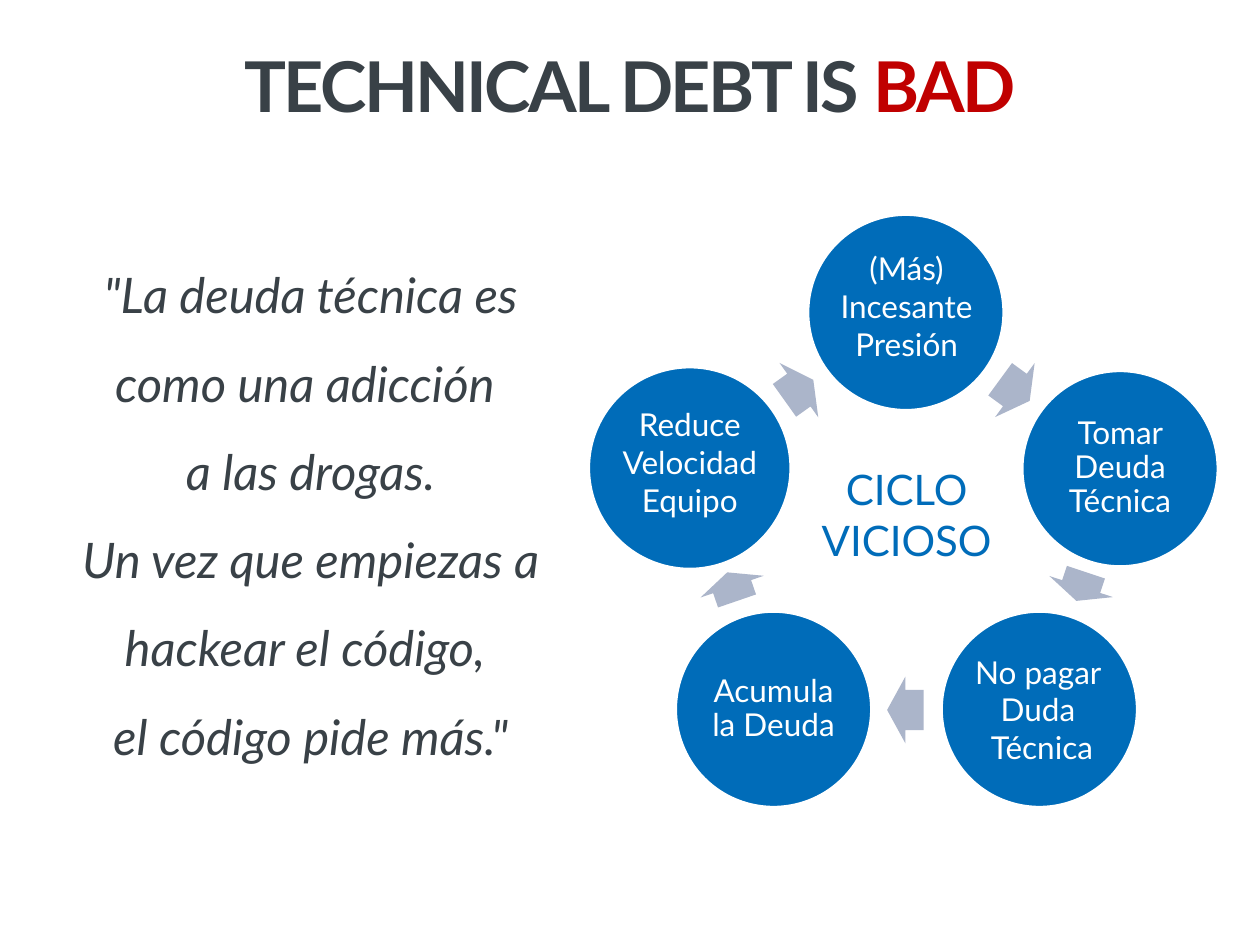
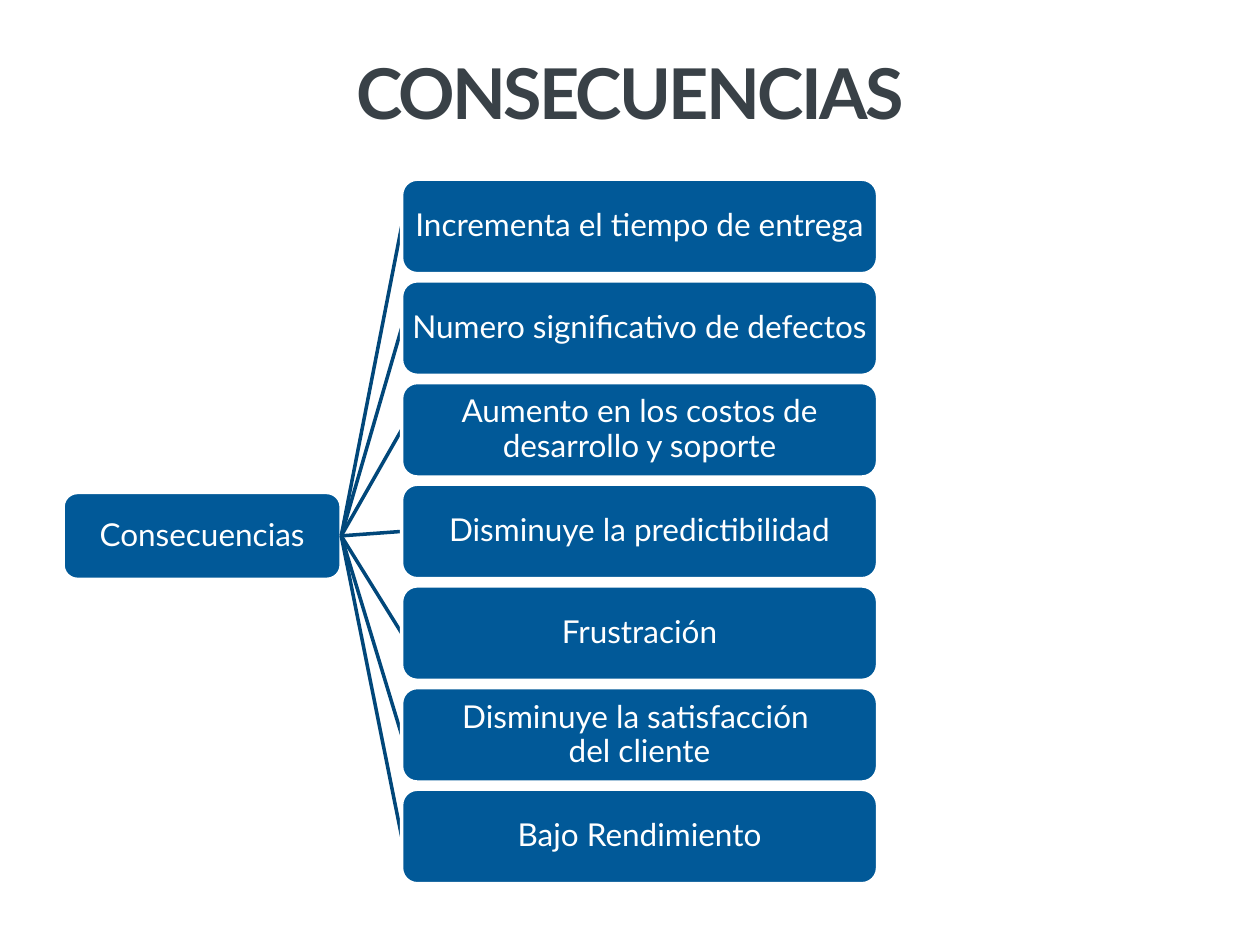
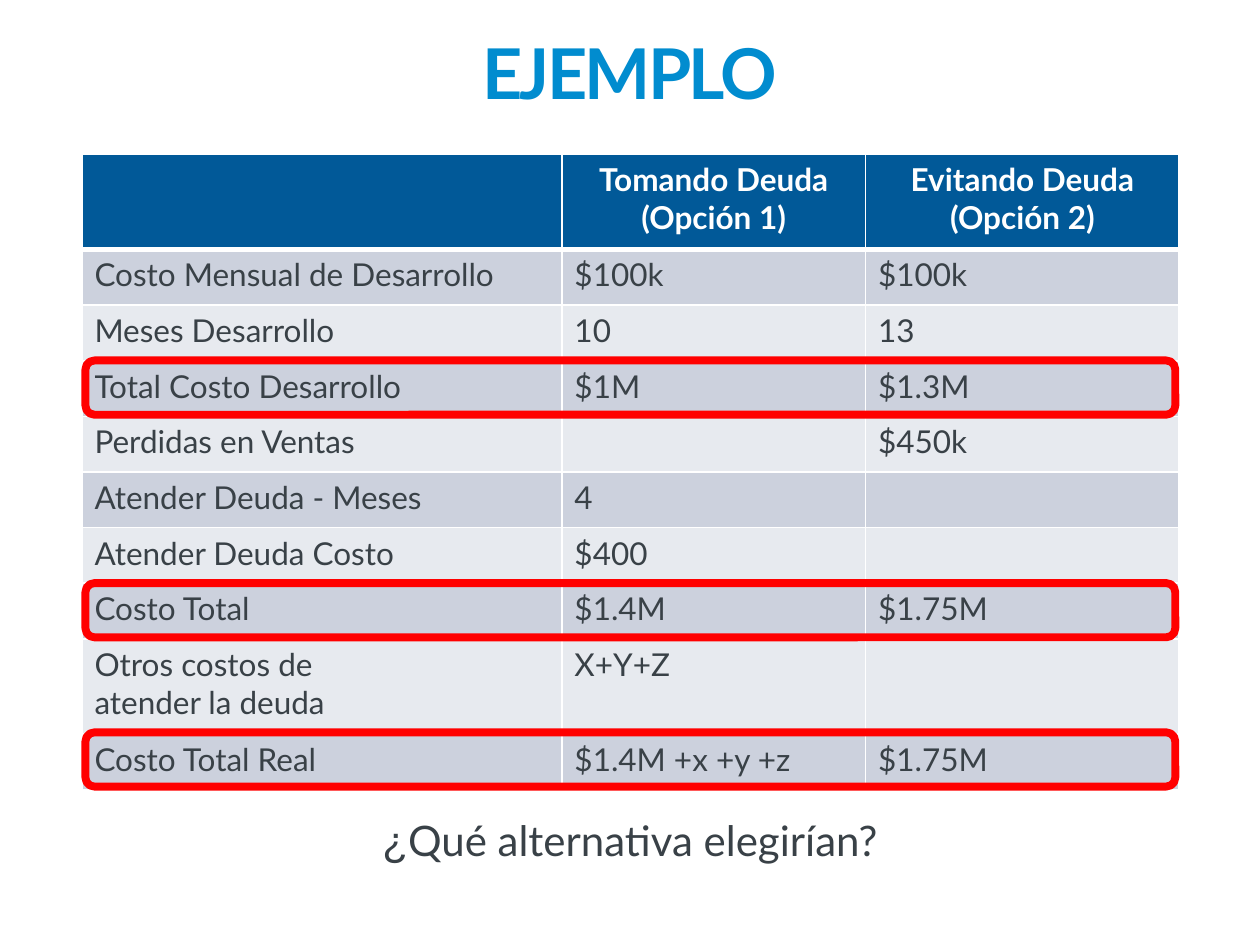
"""Builds three slides on technical debt: vicious cycle, consequences and a cost example."""
import pptx
import pptx.dml.color
import pptx.enum.shapes
import pptx.enum.text
import pptx.oxml
import pptx.oxml.ns
import pptx.util

Pt = pptx.util.Pt
SHAPE = pptx.enum.shapes.MSO_SHAPE
ANCHOR = pptx.enum.text.MSO_ANCHOR
ALIGN = pptx.enum.text.PP_ALIGN

INK, WHITE, BLUE, NAVY = "394147", "FFFFFF", "006CB9", "015998"
LINK, ARROW, SKY, RED, ALERT = "01477A", "ABB5CA", "018CCF", "C00000", "FF0000"
BANDS = ("CCD1DD", "E7EAEF")
BODY = {"name": "Lato", "size": Pt(18), "bold": False, "italic": False}
TITLE = {"size": Pt(40), "bold": True}


def rgb(value):
    """Turn a hex string into a colour."""
    return pptx.dml.color.RGBColor.from_string(value)


def assign(target, values):
    """Set every attribute named in the dict."""
    for name, value in values.items():
        setattr(target, name, value)


class Deck:
    """Holds the presentation, its style and the current slide."""

    def __init__(self):
        """Start a 10 by 7.5 inch presentation."""
        self.prs = pptx.Presentation()
        assign(self.prs, {"slide_width": Pt(720), "slide_height": Pt(540)})
        self.s = None

    def slide(self):
        """Add a blank slide and make it current."""
        self.s = self.prs.slides.add_slide(self.prs.slide_layouts[6])

    def fill_text(self, tf, paragraphs, color=INK, spacing=1.0, align=ALIGN.CENTER, spc=None, **fmt):
        """Fill a frame; a paragraph is a string or a list of (text, overrides)."""
        for i, runs in enumerate(paragraphs):
            p = tf.add_paragraph() if i else tf.paragraphs[0]
            assign(p, {"alignment": align, "line_spacing": spacing})
            for text, extra in [(runs, {})] if isinstance(runs, str) else runs:
                values = {**BODY, **fmt, **extra}
                tint = values.pop("color", color)
                for j, line in enumerate(text.split("\n")):
                    if j:
                        p.add_line_break()
                    r = p.add_run()
                    r.text = line
                    assign(r.font, values)
                    r.font.color.rgb = rgb(tint)
                    if spc:
                        r._r.get_or_add_rPr().set("spc", str(spc))

    def text(self, box, paragraphs, anchor=ANCHOR.TOP, wrap=True, **fmt):
        """Add a text box."""
        tf = self.s.shapes.add_textbox(*map(Pt, box)).text_frame
        assign(tf, {"word_wrap": wrap, "vertical_anchor": anchor})
        self.fill_text(tf, paragraphs, **fmt)

    def title(self, top, height, runs, color=INK):
        """Add the slide title."""
        self.text((36, top, 648, height), [runs], ANCHOR.MIDDLE, color=color, spc=-150, **TITLE)

    def shape(self, kind, box, fill=None, line=None, weight=2, rotation=0, label=None, inset=0.9):
        """Add a preset shape, with a centred white label if given."""
        sp = self.s.shapes.add_shape(kind, *map(Pt, box))
        sp.shadow.inherit = False
        sp.rotation = rotation
        for part, color in ((sp.fill, fill), (sp.line.fill, line)):
            if color:
                part.solid()
                part.fore_color.rgb = rgb(color)
            else:
                part.background()
        if line:
            sp.line.width = Pt(weight)
        if label:
            tf = sp.text_frame
            assign(tf, {"word_wrap": True, "vertical_anchor": ANCHOR.MIDDLE})
            assign(tf, {f"margin_{side}": Pt(inset) for side in ("left", "top", "right", "bottom")})
            self.fill_text(tf, [label], WHITE, 0.9)
        return sp

    def link(self, start, end):
        """Add a straight line."""
        line = self.s.shapes.add_connector(
            pptx.enum.shapes.MSO_CONNECTOR.STRAIGHT, *map(Pt, (*start, *end)))
        line.line.color.rgb = rgb(LINK)
        line.line.width = Pt(2)
        props = line._element.spPr
        props.append(props.makeelement(pptx.oxml.ns.qn("a:effectLst"), {}))

    def border(self, cell, side, weight):
        """Draw one white cell border."""
        cell._tc.get_or_add_tcPr().append(pptx.oxml.parse_xml(
            f'<a:ln{side} {pptx.oxml.ns.nsdecls("a")} w="{Pt(weight)}"><a:solidFill>'
            f'<a:srgbClr val="{WHITE}"/></a:solidFill></a:ln{side}>'))

    def table(self, left, top, widths, heights, rows):
        """Add a banded table with a header row."""
        box = map(Pt, (left, top, sum(widths), sum(heights)))
        table = self.s.shapes.add_table(len(rows), len(widths), *box).table
        for column, width in zip(table.columns, widths):
            column.width = Pt(width)
        for i, (row, height, texts) in enumerate(zip(table.rows, heights, rows)):
            row.height = Pt(height)
            for cell, text in zip(row.cells, texts):
                for side in "LRTB":
                    self.border(cell, side, 3 if (i, side) in ((0, "B"), (1, "T")) else 1)
                cell.fill.solid()
                cell.fill.fore_color.rgb = rgb(BANDS[(i - 1) % 2] if i else NAVY)
                if text:
                    self.fill_text(cell.text_frame, [text], INK if i else WHITE,
                                   align=ALIGN.LEFT if i else ALIGN.CENTER, bold=not i)


def vicious_cycle(deck):
    """Quote beside the cycle of five stages."""
    deck.slide()
    deck.title(24, 48, [("TECHNICAL DEBT IS ", {}), ("BAD", {"color": RED})])
    deck.text((20.2, 131, 314.6, 312.5), [
        '"La deuda técnica es como una adicción \na las drogas.',
        'Un vez que empiezas a hackear el código, \nel código pide más."',
    ], spacing=1.5, size=Pt(28), italic=True)
    stages = [
        (461.5, 122.4, 112.3, None),
        (583.9, 211.7, 112.3, "Tomar Deuda Técnica"),
        (537.8, 349.2, 112.3, None),
        (385.9, 349.2, 112.3, "Acumula la Deuda"),
        (336.2, 209.5, 115.9, None),
    ]
    for left, top, size, label in stages:
        deck.shape(SHAPE.OVAL, (left, top, size, size), BLUE, WHITE, label=label, inset=2)
    arrows = [
        (569.5, 203.8, 20.9, 36.2),
        (609.1, 316.1, 17.3, 108.4),
        (506.9, 386.6, 20.9, 180),
        (409.7, 316.1, 17.3, 251),
        (446.4, 203.8, 20.2, 324.5),
    ]
    for left, top, width, rotation in arrows:
        arrow = deck.shape(SHAPE.RIGHT_ARROW, (left, top, width, 38.2), ARROW, rotation=rotation)
        arrow.adjustments[0] = 0.6
    labels = [
        ((470.9, 139, 94.3, 74.2), "(Más)\nIncesante\nPresión"),
        ((346.3, 228.2, 95.8, 74.2), "Reduce\nVelocidad\nEquipo"),
        ((547.2, 369.4, 96.5, 72.7), "No pagar \nDuda \nTécnica"),
    ]
    for box, label in labels:
        deck.text(box, [label], wrap=False, color=WHITE)
    deck.text((457.2, 261.4, 121.7, 65.5), ["CICLO\nVICIOSO"], wrap=False, color=BLUE, size=Pt(24))


def consequences(deck):
    """Root box linked to a column of seven effects."""
    deck.slide()
    deck.title(22.3, 60.5, "CONSECUENCIAS")
    effects = [
        "Incrementa el tiempo de entrega",
        "Numero significativo de defectos",
        "Aumento en los costos de desarrollo y soporte",
        "Disminuye la predictibilidad",
        "Frustración",
        "Disminuye la satisfacción \ndel cliente",
        "Bajo Rendimiento",
    ]
    left, first, pitch, height = 229.5, 102.4, 58.1, 54
    deck.shape(SHAPE.ROUNDED_RECTANGLE, (36, 281.4, 159, 49.7), NAVY, WHITE, label="Consecuencias")
    for i, effect in enumerate(effects):
        top = first + i * pitch
        deck.link((195, 306.2), (left, top + height / 2))
        deck.shape(SHAPE.ROUNDED_RECTANGLE, (left, top, 272, height), NAVY, WHITE, label=effect)


def example(deck):
    """Cost table with its totals highlighted."""
    deck.slide()
    deck.title(16.6, 48.2, "EJEMPLO", SKY)
    deck.text((109.4, 462.2, 501.1, 36),
              [[("¿", {"name": "Arial"}), ("Qué alternativa elegirían?", {})]], size=Pt(24))
    rows = [
        ("", "Tomando Deuda (Opción 1)", "Evitando Deuda (Opción 2)"),
        ("Costo Mensual de Desarrollo", "$100k", "$100k"),
        ("Meses Desarrollo", "10", "13"),
        ("Total Costo Desarrollo", "$1M", "$1.3M"),
        ("Perdidas en Ventas", "", "$450k"),
        ("Atender Deuda - Meses", "4", ""),
        ("Atender Deuda Costo", "$400", ""),
        ("Costo Total", "$1.4M", "$1.75M"),
        ("Otros costos de \natender la deuda", "X+Y+Z", ""),
        ("Costo Total Real", "$1.4M +x +y +z", "$1.75M"),
    ]
    heights = [54.4 if i in (0, 8) else 31.8 for i in range(len(rows))]
    deck.table(46.8, 88.2, (274.3, 173.5, 179.3), heights, rows)
    for top in (206, 333.2, 418.5):
        deck.shape(SHAPE.ROUNDED_RECTANGLE, (48.8, top, 622.8, 31), line=ALERT, weight=4.5)


def main():
    """Build and save the slides."""
    deck = Deck()
    for build in (vicious_cycle, consequences, example):
        build(deck)
    deck.prs.save("out.pptx")


if __name__ == "__main__":
    main()
